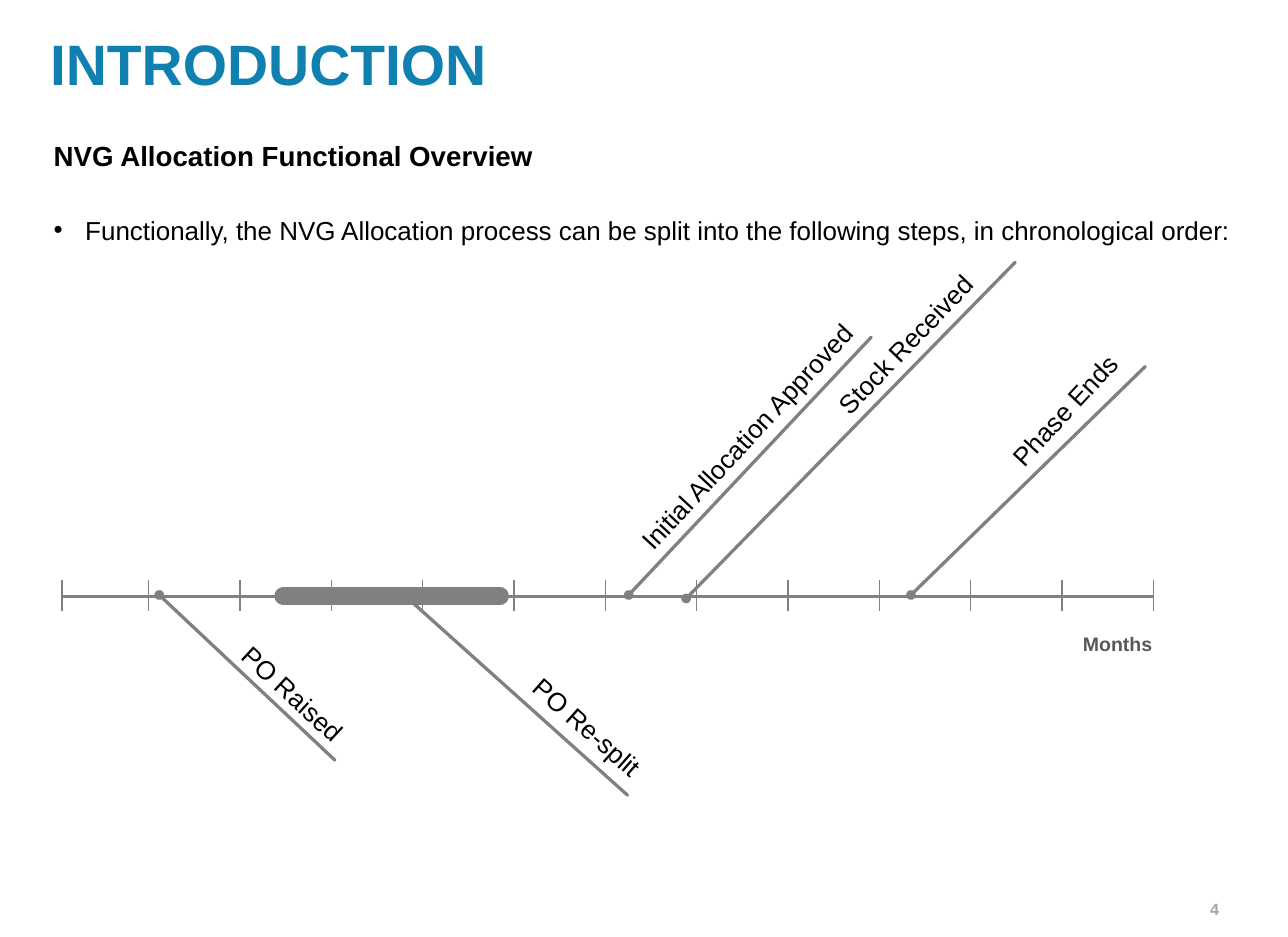
"""Build the introduction slide with its allocation timeline."""
from dataclasses import dataclass

from lxml.etree import SubElement as Sub
from pptx import Presentation
from pptx.dml.color import RGBColor as Rgb
from pptx.enum.shapes import MSO_CONNECTOR as Link
from pptx.enum.text import MSO_ANCHOR as Anchor, PP_ALIGN as Align
from pptx.oxml import parse_xml
from pptx.oxml.ns import nsdecls, qn
from pptx.util import Inches, Pt


@dataclass(frozen=True)
class Theme:
    font: str = "Arial"
    blue: str = "0F80AF"
    black: str = "000000"
    gray: str = "808080"
    dark: str = "595959"
    pale: str = "A6A6A6"
    title: int = 35
    head: int = 17
    body: int = 16
    unit: int = 12
    page: int = 10
    line: float = 2
    axis: float = 2.25
    tick: float = 1
    bar: float = 11


THEME = Theme()
TITLE = "INTRODUCTION"
HEAD = "NVG Allocation Functional Overview"
POINT = ("Functionally, the NVG Allocation process can be split into "
         "the following steps, in chronological order:")
UNIT = "Months"
PAGE = "4"
AXIS = (0.53, 4.96, 0.26)
MONTHS = [0.74] + [0.78] * 11
BAR = ((2.42, 5.09), (4.27, 5.09))
EARLY = [
    ("PO Raised", (1.36, 5.08), (2.86, 6.49), (1.82, 5.72, 1.32, 0.37), 42.7),
    ("PO Re-split", (3.44, 5.07), (5.36, 6.79), (4.13, 5.94, 1.58, 0.37), 41.6),
    ("Initial Allocation Approved", (5.37, 5.08), (7.44, 2.88),
     (4.95, 3.57, 2.8, 0.37), 312.8),
]
LATE = [
    ("Stock Received", (5.86, 5.11), (8.67, 2.24), (5.77, 3.22, 3.01, 0.33), 313.9),
    ("Phase Ends", (7.78, 5.08), (9.78, 3.13), (7.49, 3.71, 2.47, 0.37), 312.8),
]


def add_text(slide, text, box, size, color=THEME.black, bold=False,
             align=Align.LEFT, anchor=Anchor.TOP, turn=0, wrap=True):
    shape = slide.shapes.add_textbox(*map(Inches, box))
    shape.rotation = turn
    frame = shape.text_frame
    frame.word_wrap = wrap
    frame.vertical_anchor = anchor
    para = frame.paragraphs[0]
    para.alignment = align
    run = para.add_run()
    run.text = text
    font = run.font
    font.name, font.size, font.bold = THEME.font, Pt(size), bold
    font.color.rgb = Rgb.from_string(color)
    return para


def add_bullet(para):
    props = para._p.get_or_add_pPr()
    props.set("marL", str(Inches(0.27)))
    props.set("indent", str(Inches(-0.27)))
    Sub(props, qn("a:buFont"), typeface=THEME.font)
    Sub(props, qn("a:buChar"), char="•")


def add_line(slide, start, end, width, dot=False):
    link = slide.shapes.add_connector(
        Link.STRAIGHT, *map(Inches, start + end))
    link.line.color.rgb = Rgb.from_string(THEME.gray)
    link.line.width = Pt(width)
    stroke = link.line._get_or_add_ln()
    stroke.set("cap", "rnd")
    if dot:
        Sub(stroke, qn("a:headEnd"), type="oval")
    Sub(link._element.spPr, qn("a:effectLst"))


def add_edge(cell, side, width):
    edge = parse_xml(
        f'<a:{side} {nsdecls("a")} w="{Pt(width)}"><a:solidFill>'
        f'<a:srgbClr val="{THEME.gray}"/></a:solidFill></a:{side}>')
    cell._tc.get_or_add_tcPr().append(edge)


def add_axis(slide):
    left, top, high = AXIS
    table = slide.shapes.add_table(
        2, len(MONTHS), Inches(left), Inches(top),
        Inches(sum(MONTHS)), Inches(high)).table
    table.first_row = table.horz_banding = False
    for col, width in zip(table.columns, MONTHS):
        col.width = Inches(width)
    for row, side in zip(table.rows, ("lnB", "lnT")):
        row.height = Inches(high / 2)
        for cell in row.cells:
            cell.margin_left = cell.margin_right = 0
            cell.margin_top = cell.margin_bottom = 0
            Sub(cell.text_frame.paragraphs[0]._p, qn("a:endParaRPr"), sz="100")
            add_edge(cell, "lnL", THEME.tick)
            add_edge(cell, "lnR", THEME.tick)
            add_edge(cell, side, THEME.axis)
            cell.fill.background()


def add_steps(slide, steps):
    for text, start, end, box, turn in steps:
        add_line(slide, start, end, THEME.line, dot=True)
        add_text(slide, text, box, THEME.body, align=Align.RIGHT, turn=turn)


def main():
    deck = Presentation()
    deck.slide_width, deck.slide_height = Inches(11), Inches(8)
    slide = deck.slides.add_slide(deck.slide_layouts[6])
    add_text(slide, PAGE, (10.04, 7.63, 0.47, 0.27), THEME.page, THEME.pale,
             bold=True, align=Align.RIGHT)
    add_text(slide, TITLE, (0.33, 0.16, 10.43, 0.76), THEME.title, THEME.blue,
             bold=True, anchor=Anchor.MIDDLE)
    add_text(slide, HEAD, (0.36, 1.13, 10.4, 0.4), THEME.head, bold=True,
             anchor=Anchor.MIDDLE)
    add_bullet(add_text(slide, POINT, (0.36, 1.78, 10.4, 5.73), THEME.body))
    add_axis(slide)
    add_steps(slide, EARLY)
    add_line(slide, *BAR, THEME.bar)
    add_text(slide, UNIT, (9.14, 5.35, 0.8, 0.3), THEME.unit, THEME.dark,
             bold=True, align=Align.RIGHT, wrap=False)
    add_steps(slide, LATE)
    deck.save("out.pptx")


if __name__ == "__main__":
    main()
